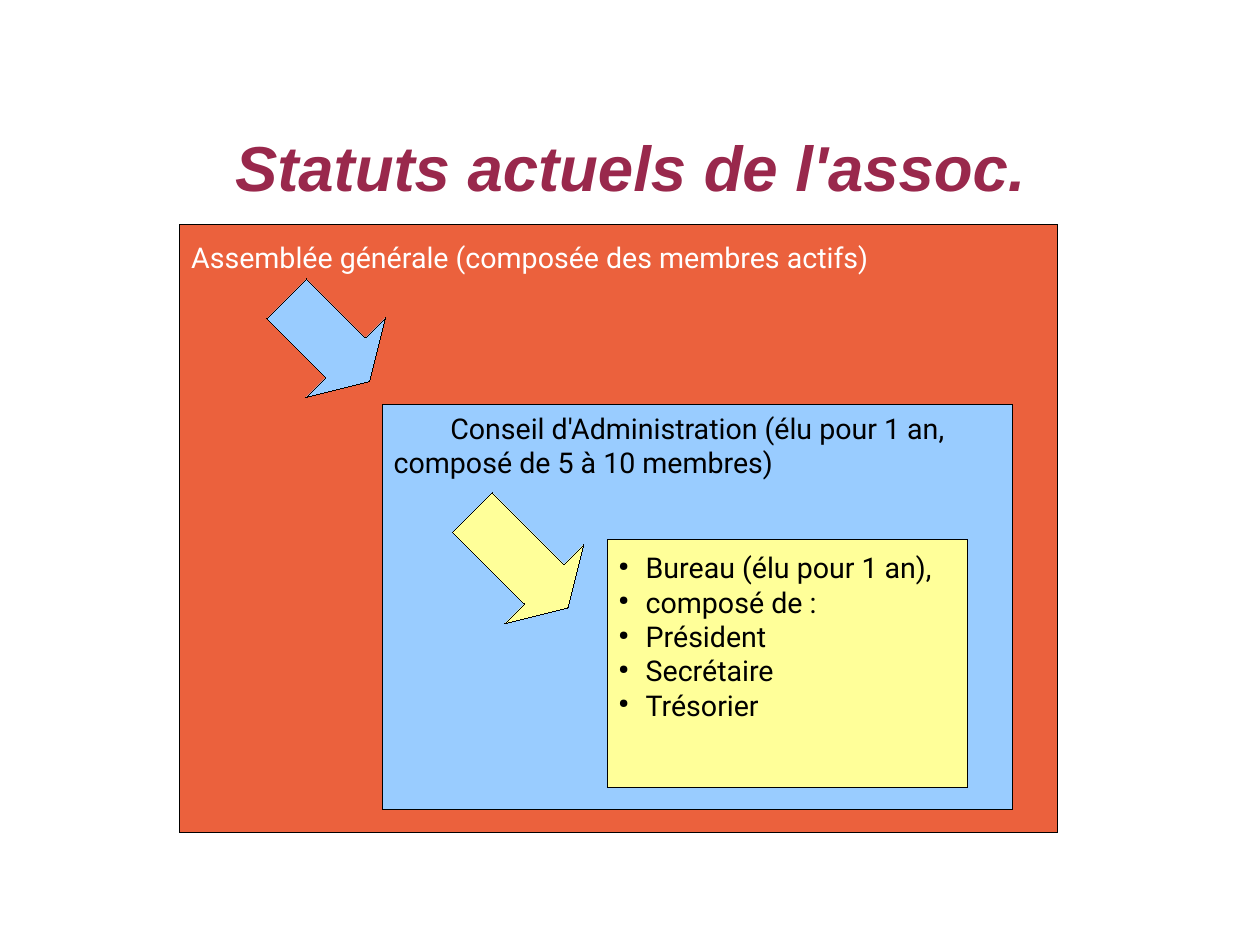
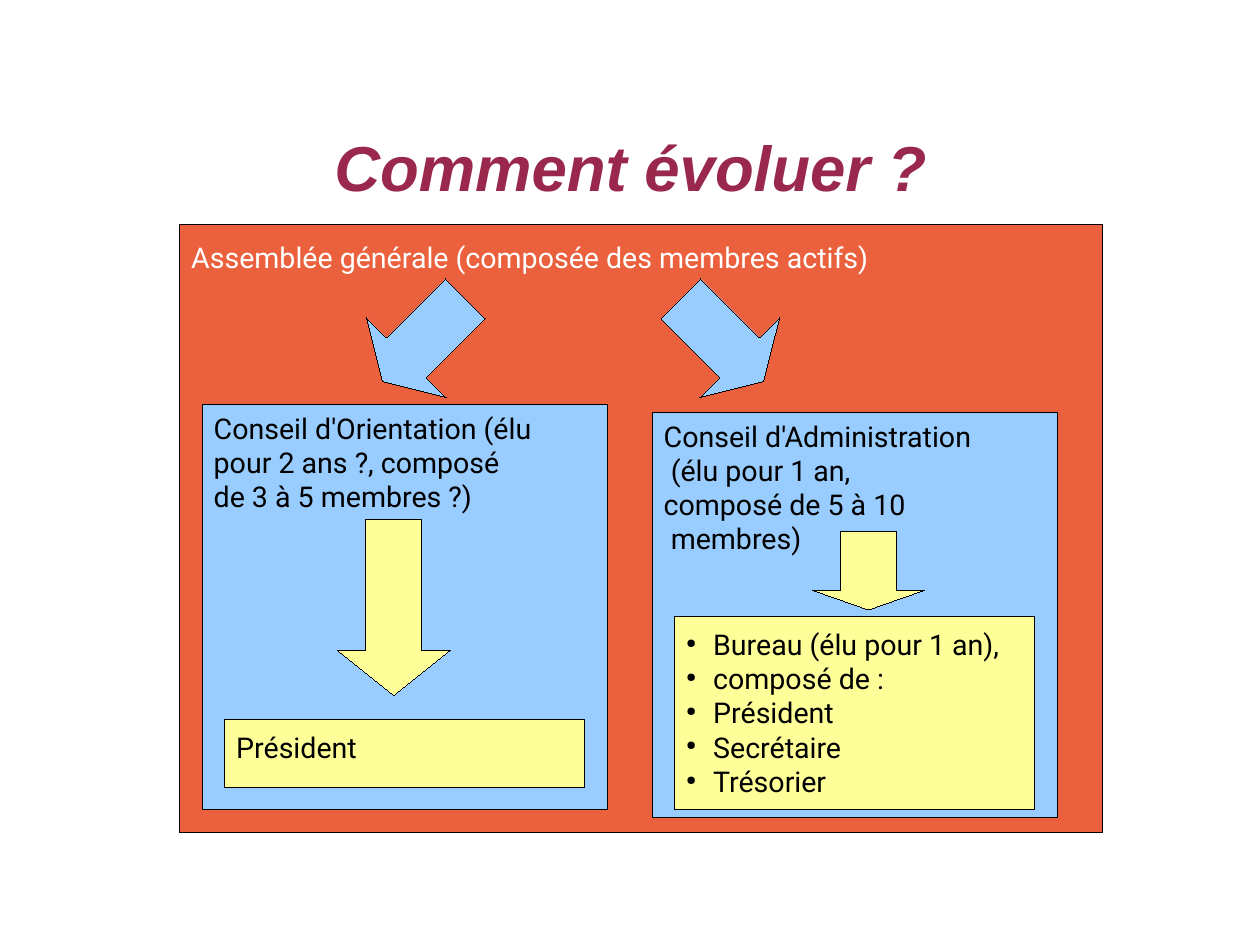
"""Build two slides on the association's governing bodies, present and future."""
from lxml import etree
from pptx import Presentation
from pptx.dml.color import RGBColor
from pptx.enum import shapes, text
from pptx.oxml import ns
from pptx.util import Cm, Pt

COLOURS = {
    "title": "99284C", "assembly": "EB613D", "council": "99CCFF",
    "office": "FFFF99", "white": "FFFFFF", "black": "000000",
}
TITLE_FRAME = (2.06, 1.95, 23.9, 3.5)
TITLE_FONT = {"name": "Arial", "size": Pt(40), "bold": True, "italic": True}
BODY_FONT = {"name": "Roboto", "size": Pt(18)}
LEVELS = {
    "assembly": {"colour": "white", "top": 0.33},
    "council": {"colour": "black", "top": 0.13},
    "office": {"colour": "black", "top": 0.23},
}
SIDE_INSET, BOTTOM_INSET = 0.25, 0.13
BULLET_INDENT = 0.6
HAIRLINE = Pt(0.01)
ARROW_WIDTH = 2.5
ASSEMBLY_ARROW = {"level": "council", "length": 2.6, "head": 0.3}
ASSEMBLY_ARROW_Y = 7.56

ASSEMBLY = ["Assemblée générale (composée des membres actifs)"]
OFFICE = ["Bureau (élu pour 1 an),", "composé de :", "Président", "Secrétaire", "Trésorier"]

SLIDES = [
    {
        "title": "Statuts actuels de l'assoc.",
        "boxes": [
            {"level": "assembly", "frame": (4, 5, 19.5, 13.5), "lines": ASSEMBLY},
            {"level": "council", "frame": (8.5, 9, 14, 9), "centre_first": True,
             "lines": ["Conseil d'Administration (élu pour 1 an,", "composé de 5 à 10 membres)"]},
            {"level": "office", "frame": (13.5, 12, 8, 5.5), "lines": OFFICE, "bullets": True},
        ],
        "arrows": [
            {**ASSEMBLY_ARROW, "centre": (7.29, ASSEMBLY_ARROW_Y), "angle": 45},
            {"level": "office", "centre": (11.56, 12.45), "length": 3, "angle": 45, "head": 0.3},
        ],
    },
    {
        "title": "Comment évoluer ?",
        "boxes": [
            {"level": "assembly", "frame": (4, 5, 20.5, 13.5), "lines": ASSEMBLY},
            {"level": "council", "frame": (14.5, 9.17, 9, 9),
             "lines": ["Conseil d'Administration", " (élu pour 1 an,",
                       "composé de 5 à 10", " membres)"]},
            {"level": "office", "frame": (15, 13.7, 8, 4.3), "lines": OFFICE, "bullets": True},
            {"level": "council", "frame": (4.5, 9, 9, 9),
             "lines": ["Conseil d'Orientation (élu", "pour 2 ans ?, composé",
                       "de 3 à 5 membres ?)"]},
            {"level": "office", "frame": (5, 16, 8, 1.5), "lines": ["Président"]},
        ],
        "arrows": [
            {**ASSEMBLY_ARROW, "centre": (16.05, ASSEMBLY_ARROW_Y), "angle": 45},
            {"level": "office", "centre": (19.3, 12.68), "length": 1.75, "angle": 90, "head": 0.25},
            {"level": "office", "centre": (8.75, 13.5), "length": 3.9, "angle": 90, "head": 0.4},
            {**ASSEMBLY_ARROW, "centre": (9.42, ASSEMBLY_ARROW_Y), "angle": 135},
        ],
    },
]


def rgb(name):
    """Return a named colour."""
    return RGBColor.from_string(COLOURS[name])


def set_all(target, values):
    """Set each attribute of the target from a dict."""
    for name, value in values.items():
        setattr(target, name, value)


def set_insets(frame, left, top, right, bottom):
    """Wrap a text frame and set its margins in centimetres."""
    set_all(frame, {
        "word_wrap": True,
        "margin_left": Cm(left), "margin_top": Cm(top),
        "margin_right": Cm(right), "margin_bottom": Cm(bottom),
    })


def write_line(paragraph, line, font, colour, alignment):
    """Put one formatted run into a paragraph."""
    paragraph.alignment = alignment
    run = paragraph.add_run()
    run.text = line
    set_all(run.font, font)
    run.font.color.rgb = rgb(colour)


def add_bullet(paragraph):
    """Give a paragraph a small round bullet and a hanging indent."""
    properties = paragraph._p.get_or_add_pPr()
    properties.set("marL", str(Cm(BULLET_INDENT)))
    properties.set("indent", str(-Cm(BULLET_INDENT)))
    for tag, name, value in (("a:buSzPct", "val", "45000"), ("a:buChar", "char", "●")):
        etree.SubElement(properties, ns.qn(tag)).set(name, value)


def add_filled_shape(slide, kind, frame, level):
    """Add a flat shape with a hairline border."""
    shape = slide.shapes.add_shape(kind, *map(Cm, frame))
    shape.shadow.inherit = False
    shape.fill.solid()
    shape.fill.fore_color.rgb = rgb(level)
    shape.line.color.rgb = rgb("black")
    shape.line.width = HAIRLINE
    return shape


def add_title(slide, title):
    """Add the centred slide title."""
    frame = slide.shapes.add_textbox(*map(Cm, TITLE_FRAME)).text_frame
    set_insets(frame, 0, 0, 0, 0)
    frame.vertical_anchor = text.MSO_ANCHOR.MIDDLE
    write_line(frame.paragraphs[0], title, TITLE_FONT, "title", text.PP_ALIGN.CENTER)


def add_box(slide, level, frame, lines, bullets=False, centre_first=False):
    """Add the box of one governing body."""
    style = LEVELS[level]
    shape = add_filled_shape(slide, shapes.MSO_SHAPE.RECTANGLE, frame, level)
    body = shape.text_frame
    set_insets(body, SIDE_INSET, style["top"], SIDE_INSET, BOTTOM_INSET)
    body.vertical_anchor = text.MSO_ANCHOR.TOP
    for index, line in enumerate(lines):
        paragraph = body.add_paragraph() if index else body.paragraphs[0]
        centred = centre_first and index == 0
        alignment = text.PP_ALIGN.CENTER if centred else text.PP_ALIGN.LEFT
        write_line(paragraph, line, BODY_FONT, style["colour"], alignment)
        if bullets:
            add_bullet(paragraph)


def add_arrow(slide, level, centre, length, angle, head):
    """Add a block arrow turned about its centre."""
    x, y = centre
    frame = (x - length / 2, y - ARROW_WIDTH / 2, length, ARROW_WIDTH)
    arrow = add_filled_shape(slide, shapes.MSO_SHAPE.RIGHT_ARROW, frame, level)
    arrow.rotation = angle
    arrow.adjustments[0] = 0.5
    arrow.adjustments[1] = head


def main():
    """Build and save the presentation."""
    presentation = Presentation()
    set_all(presentation, {"slide_width": Cm(28), "slide_height": Cm(21)})
    for content in SLIDES:
        slide = presentation.slides.add_slide(presentation.slide_layouts[6])
        add_title(slide, content["title"])
        for box in content["boxes"]:
            add_box(slide, **box)
        for arrow in content["arrows"]:
            add_arrow(slide, **arrow)
    presentation.save("out.pptx")


if __name__ == "__main__":
    main()
